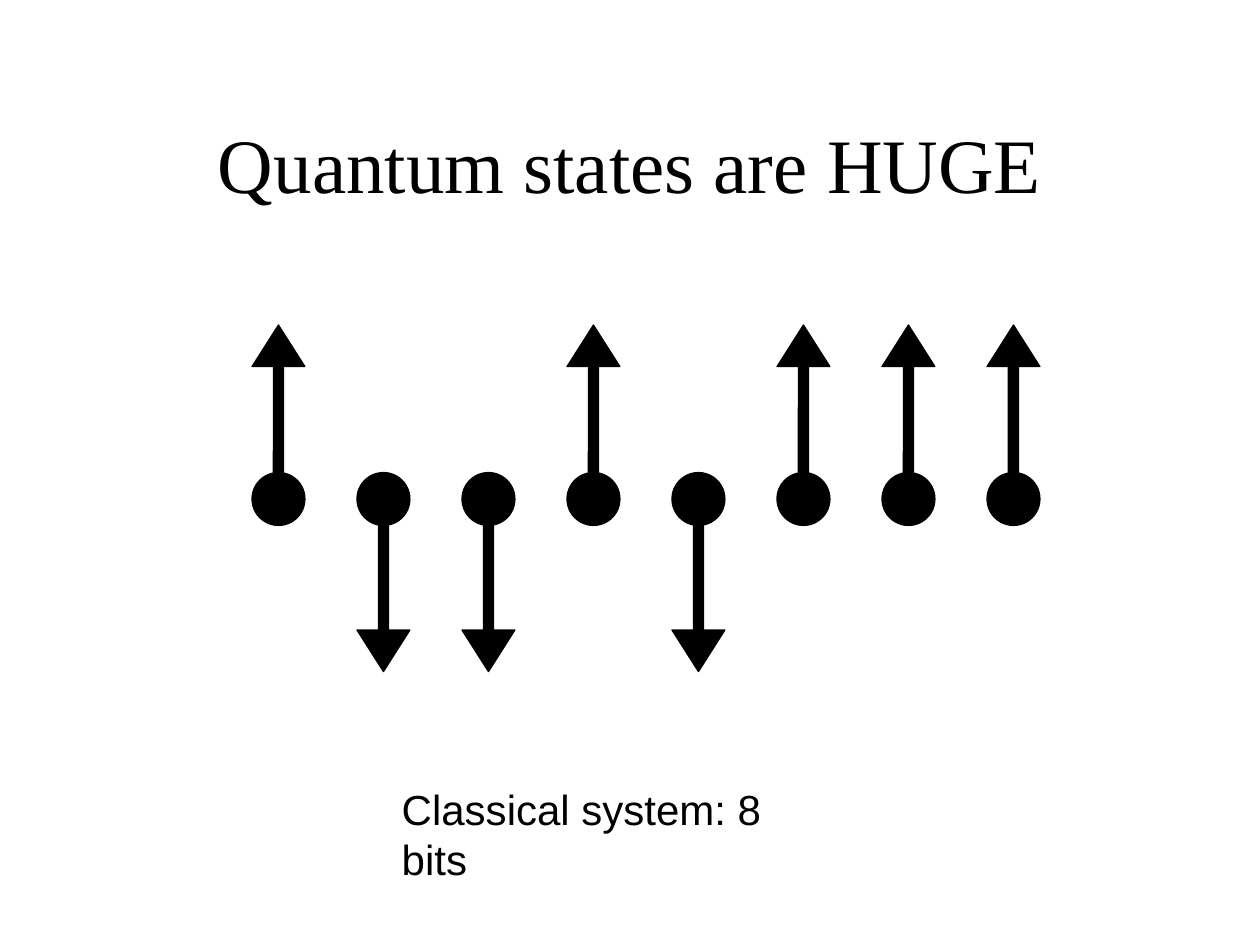
"""Build a slide showing a classical register of eight spins."""
from pptx import Presentation
from pptx.dml.color import RGBColor
from pptx.enum.shapes import MSO_SHAPE as Preset
from pptx.enum.text import MSO_ANCHOR as Anchor, MSO_AUTO_SIZE as AutoSize, PP_ALIGN as Align
from pptx.util import Inches, Pt

BLACK = "000000"
SPINS = ["up", "down", "down", "up", "down", "up", "up", "up"]
FIRST_CENTER, SPACING = 2.21, 5 / 6


def rgb(value):
    return RGBColor.from_string(value)


def style_text(frame, text, font, size, align):
    frame.text = text
    paragraph = frame.paragraphs[0]
    paragraph.alignment = align
    run = paragraph.runs[0]
    run.font.name = font
    run.font.size = Pt(size)
    run.font.color.rgb = rgb(BLACK)


deck = Presentation()
deck.slide_width, deck.slide_height = Inches(10), Inches(7.5)
slide = deck.slides.add_slide(deck.slide_layouts[5])
slide.background.fill.solid()
slide.background.fill.fore_color.rgb = rgb("FFFFFF")

title = slide.shapes.title
title.left, title.top = Inches(0.75), Inches(0.67)
title.width, title.height = Inches(8.5), Inches(1.25)
title.text_frame.vertical_anchor = Anchor.MIDDLE
style_text(title.text_frame, "Quantum states are HUGE", "Times New Roman", 44, Align.CENTER)

for index, spin in enumerate(SPINS):
    center = FIRST_CENTER + index * SPACING
    up = spin == "up"
    parts = [
        (Preset.OVAL, 3.75, 0.42, 0.42),
        (Preset.ISOSCELES_TRIANGLE, 2.58 if up else 5, 0.42, 0.33),
        (Preset.ROUNDED_RECTANGLE, 2.83 if up else 4, 0.08, 1.08),
    ]
    arrow = slide.shapes.add_group_shape()
    for preset, top, width, height in parts:
        part = arrow.shapes.add_shape(
            preset, Inches(center - width / 2), Inches(top), Inches(width), Inches(height))
        part.rotation = 0 if up else 180
        part.shadow.inherit = False
        part.fill.solid()
        part.fill.fore_color.rgb = rgb(BLACK)
        part.line.color.rgb = rgb(BLACK)
        part.line.width = Pt(0.75)

caption = slide.shapes.add_textbox(Inches(3.09), Inches(6.17), Inches(3.66), Inches(0.5))
caption.text_frame.word_wrap = False
caption.text_frame.auto_size = AutoSize.SHAPE_TO_FIT_TEXT
style_text(caption.text_frame, "Classical system: 8 bits", "Arial", 24, Align.LEFT)

deck.save("out.pptx")
